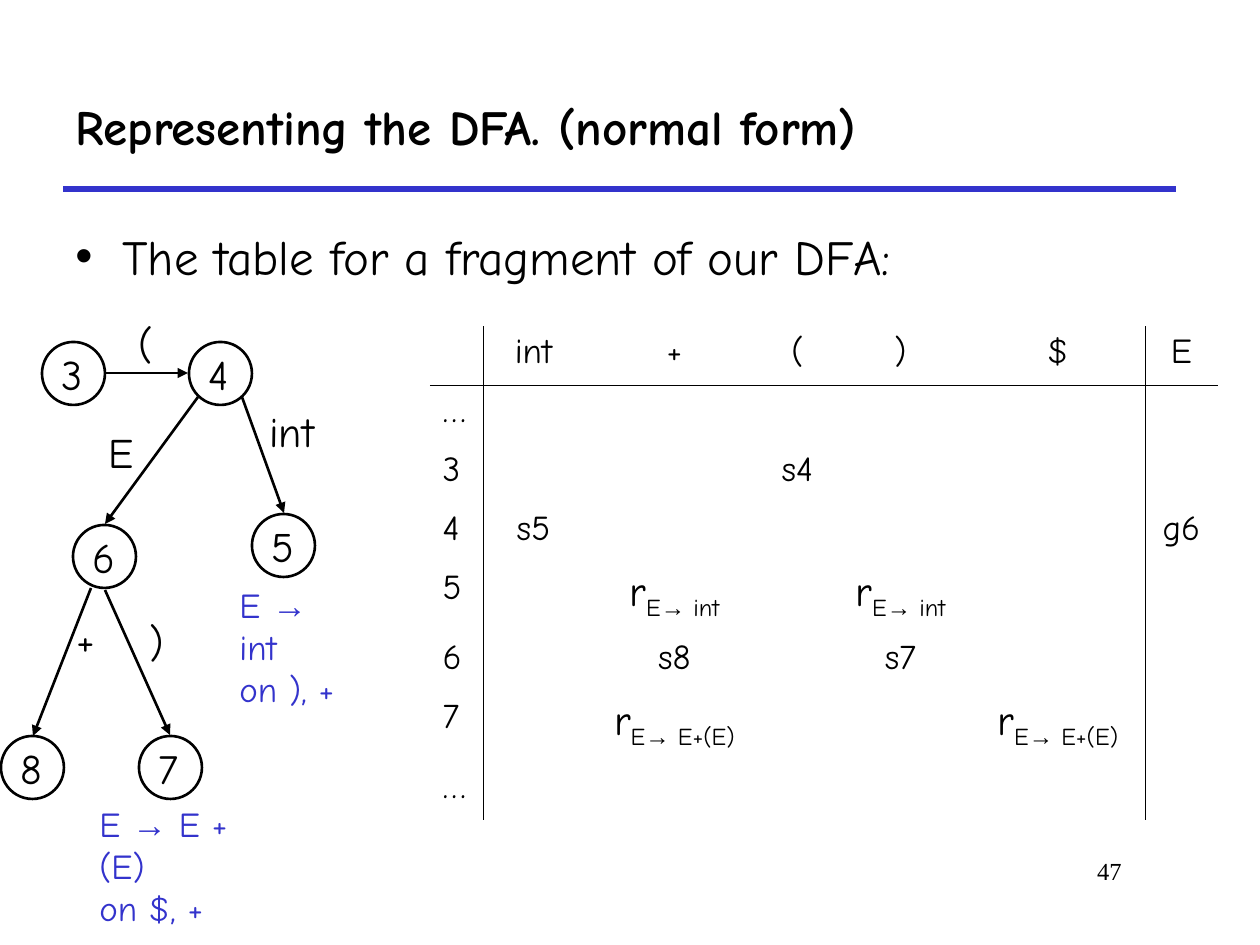
from itertools import groupby
from lxml import etree
from pptx import Presentation
from pptx import util as u
from pptx.dml.color import RGBColor
from pptx.enum import shapes, text
from pptx.oxml.ns import qn

PX = u.Inches(1) / 126
COLORS = {"black": "000000", "blue": "3333CC"}
FONT = "Comic Neue"
NO_STYLE = "{2D5ABB26-0587-4C30-8999-92F81FD0307C}"

TITLE = "Representing the DFA. (normal form)"
BODY = "The table for a fragment of our DFA:"
TABLE = [
    ["", "int", "+", "(", ")", "$", "E"],
    ["…", "", "", "", "", "", ""],
    ["3", "", "", "s4", "", "", ""],
    ["4", "s5", "", "", "", "", "g6"],
    ["5", "", "r_E→ int", "", "r_E→ int", "", ""],
    ["6", "", "s8", "", "s7", "", ""],
    ["7", "", "r_E→ E+(E)", "", "", "r_E→ E+(E)", ""],
    ["…", "", "", "", "", "", ""],
]
COLUMNS = [53, 101, 181, 65, 141, 174, 73]
ROWS = [70 if any("_" in c for c in row) else 59 for row in TABLE]
RULED_COLUMNS = (0, 5)
STATES = {"3": (42, 342), "4": (189, 342), "5": (252, 514),
          "6": (73, 525), "7": (139, 736), "8": (1, 736)}
EDGES = [(106, 373, 188, 373), (198, 397, 105, 524), (242, 397, 284, 513),
         (105, 590, 170, 735), (91, 588, 33, 736)]
EDGE_LABELS = [("(", 126, 311, 39), ("int", 257, 399, 84), ("E", 96, 420, 50),
               (")", 137, 609, 39), ("+", 64, 607, 44)]
REDUCTIONS = [(["E → int", "on ), +"], 227, 577, 132),
              (["E → E + (E)", "on $, +"], 87, 796, 200)]


def px(*values):
    return [u.Emu(round(v * PX)) for v in values]


def rgb(name):
    return RGBColor.from_string(COLORS[name])


def write(p, content, size=24, color="black", font=FONT, bold=False, align=None, before=0):
    p.alignment = align
    p.space_before = u.Pt(before)
    base, _, low = content.partition("_")
    for part, offset in ((base, 0), (low, -25000)):
        for arrow, chars in groupby(part, lambda c: c == "→"):
            r = p.add_run()
            r.text = "".join(chars)
            r.font.size = u.Pt(size)
            r.font.name = "Arial" if arrow else font
            r.font.bold = bold
            r.font.color.rgb = rgb(color)
            if offset:
                r._r.get_or_add_rPr().set("baseline", str(offset))


def add_text(s, lines, x, y, w, h, wrap=True, anchor=text.MSO_ANCHOR.TOP, **style):
    tf = s.shapes.add_textbox(*px(x, y, w, h)).text_frame
    tf.word_wrap = wrap
    tf.vertical_anchor = anchor
    for i, line in enumerate(lines):
        write(tf.add_paragraph() if i else tf.paragraphs[0], line, **style)
    return tf


def add_line(s, ends, color="black", width=1.5, arrow=True):
    line = s.shapes.add_connector(shapes.MSO_CONNECTOR.STRAIGHT, *px(*ends))
    line.line.color.rgb = rgb(color)
    line.line.width = u.Pt(width)
    if arrow:
        etree.SubElement(line.line._get_or_add_ln(), qn("a:tailEnd"), type="triangle")
    etree.SubElement(line._element.spPr, qn("a:effectLst"))


def add_bullet(p, indent):
    pPr = p._p.get_or_add_pPr()
    pPr.set("marL", str(indent))
    pPr.set("indent", str(-indent))
    etree.SubElement(pPr, qn("a:buFont"), typeface="Arial")
    etree.SubElement(pPr, qn("a:buChar"), char="•")


def add_border(cell, side, shown):
    ln = etree.SubElement(cell._tc.get_or_add_tcPr(), qn("a:ln" + side), w=str(u.Pt(0.45)))
    if shown:
        fill = etree.SubElement(ln, qn("a:solidFill"))
        etree.SubElement(fill, qn("a:srgbClr"), val=COLORS["black"])
    else:
        etree.SubElement(ln, qn("a:noFill"))


def add_parse_table(s):
    frame = s.shapes.add_table(len(ROWS), len(COLUMNS), *px(430, 326, sum(COLUMNS), sum(ROWS)))
    table = frame.table
    table.first_row = table.horz_banding = False
    table._tbl.tblPr.find(qn("a:tableStyleId")).text = NO_STYLE
    for column, width in zip(table.columns, px(*COLUMNS)):
        column.width = width
    for row, height in zip(table.rows, px(*ROWS)):
        row.height = height
    for i, row in enumerate(TABLE):
        for j, content in enumerate(row):
            cell = table.cell(i, j)
            borders = {"L": j - 1 in RULED_COLUMNS, "R": j in RULED_COLUMNS,
                       "T": i == 1, "B": i == 0}
            for side, shown in borders.items():
                add_border(cell, side, shown)
            cell.fill.background()
            if content:
                low = "_" in content
                write(cell.text_frame.paragraphs[0], content, size=24 if low else 20,
                      before=6 if low else 5,
                      align=text.PP_ALIGN.CENTER if j else text.PP_ALIGN.LEFT)


def add_state(s, name, x, y):
    circle = s.shapes.add_shape(shapes.MSO_SHAPE.OVAL, *px(x, y, 63, 63))
    circle.shadow.inherit = False
    circle.fill.background()
    circle.line.color.rgb = rgb("black")
    circle.line.width = u.Pt(1.5)
    add_text(s, [name], x + 7, y, 42, 63)


def main():
    prs = Presentation()
    prs.slide_width, prs.slide_height = px(1260, 945)
    s = prs.slides.add_slide(prs.slide_layouts[6])
    add_line(s, (63, 189, 1176, 189), "blue", 3, arrow=False)
    add_text(s, ["47"], 872, 850, 262, 63, size=14, font="Times New Roman",
             align=text.PP_ALIGN.RIGHT)
    add_text(s, [TITLE], 63, 63, 1113, 126, size=28, bold=True, anchor=text.MSO_ANCHOR.MIDDLE)
    body = add_text(s, [BODY], 63, 220, 1144, 84, size=28, before=7)
    add_bullet(body.paragraphs[0], px(47)[0])
    add_parse_table(s)
    for ends in EDGES:
        add_line(s, ends)
    for lines, x, y, w in REDUCTIONS:
        add_text(s, lines, x, y, w, 97, size=20, color="blue")
    for name, (x, y) in STATES.items():
        add_state(s, name, x, y)
    for label, x, y, w in EDGE_LABELS:
        add_text(s, [label], x, y, w, 63, wrap=False)
    prs.save("out.pptx")


if __name__ == "__main__":
    main()
